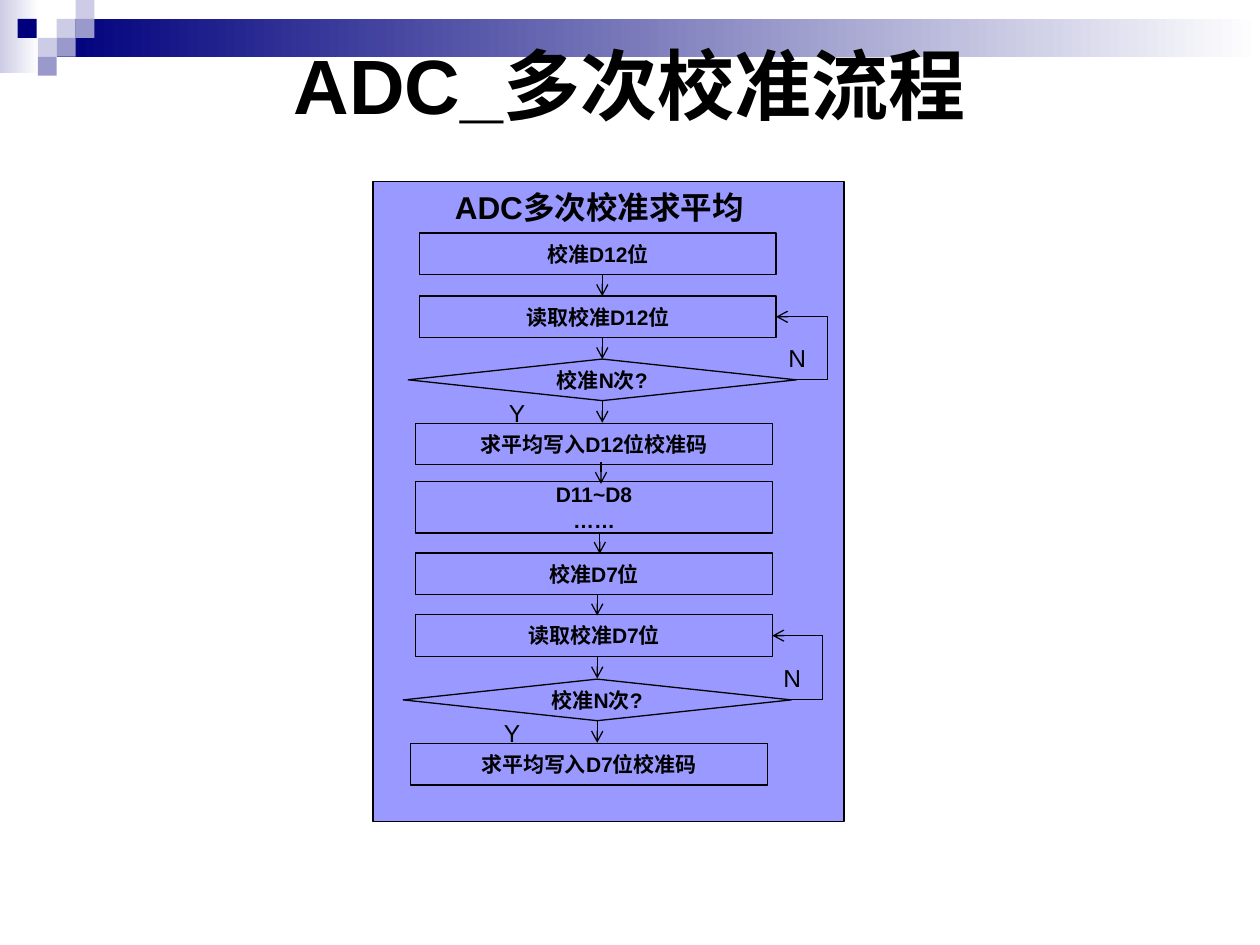
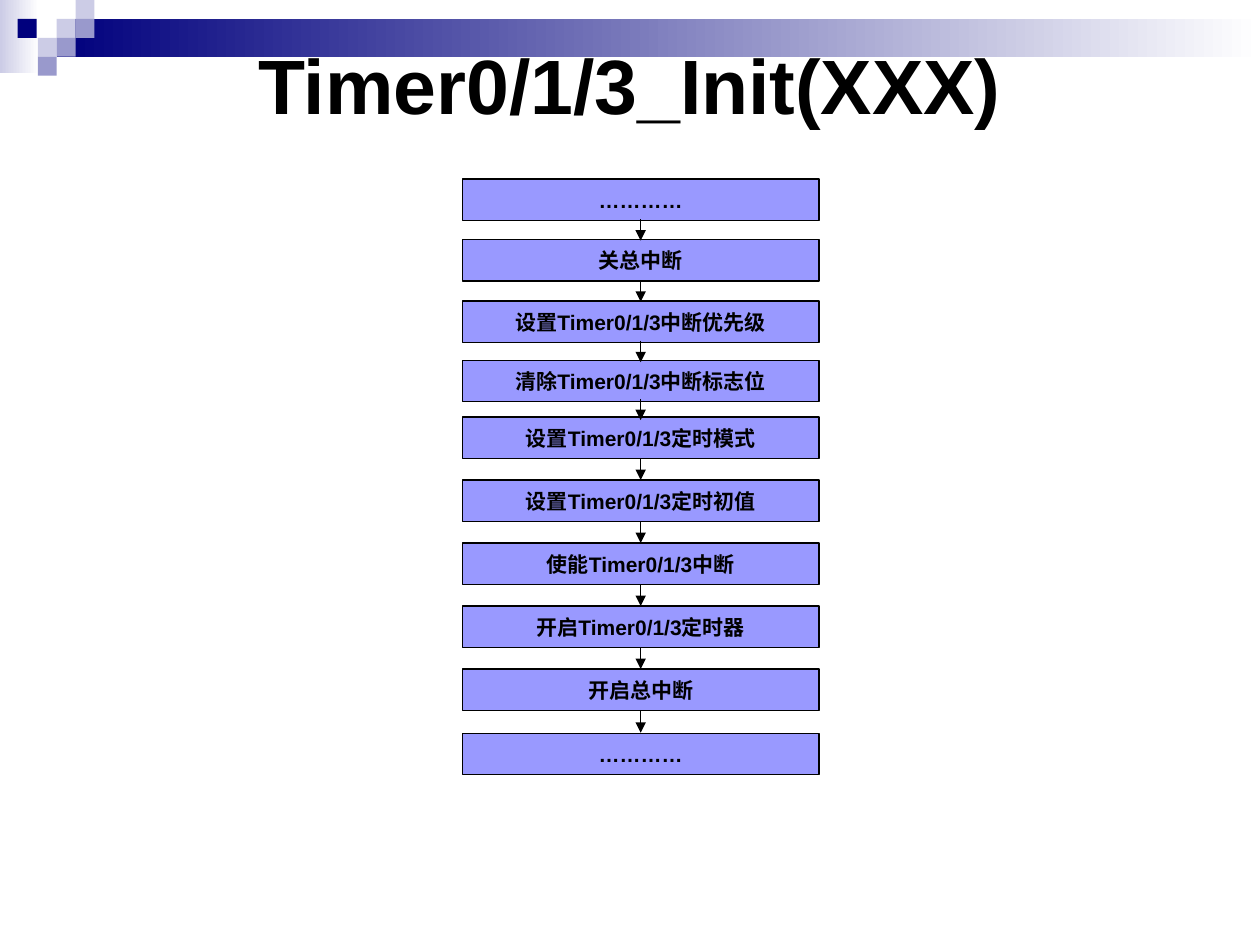
from lxml import etree
from pptx import Presentation
from pptx.dml.color import RGBColor
from pptx.enum.shapes import MSO_CONNECTOR, MSO_SHAPE
from pptx.enum.text import MSO_ANCHOR, PP_ALIGN
from pptx.oxml.ns import qn
from pptx.util import Inches, Pt

RECT, DIAMOND = MSO_SHAPE.RECTANGLE, MSO_SHAPE.DIAMOND
STRAIGHT, ELBOW = MSO_CONNECTOR.STRAIGHT, MSO_CONNECTOR.ELBOW
LEFT, CENTER = PP_ALIGN.LEFT, PP_ALIGN.CENTER
TOP, MIDDLE = MSO_ANCHOR.TOP, MSO_ANCHOR.MIDDLE

# Shared style
FONT = "Arial"
COLORS = {"ink": "000000", "box": "9999FF", "navy": "00007D",
          "pale": "CCCCE6", "mid": "9999CC", "white": "FFFFFF"}
BOX_W, BOX_H, DIAMOND_W = 2.83, 0.33, 3.08
ARROW_LEN = 0.17
LOOP_REACH = 0.25

# Header decoration: left, top, width, height, fill (two names make a gradient)
TILE = 0.15
BANDS = [(0, 0, 0.31, 0.58, ("pale", "white")),
         (0.45, 0.15, 9.55, 0.3, ("navy", "white"))]
TILES = [(0.45, 0.15, "pale"), (0.6, 0, "pale"), (0.6, 0.15, "mid"),
         (0.3, 0.3, "pale"), (0.14, 0.15, "navy"), (0.45, 0.3, "mid"),
         (0.3, 0.45, "mid")]

# Calibration flow: shape, left, top, height, text, x of the arrow below
ADC_TITLE = "ADC_多次校准流程"
ADC_PANEL = (2.96, 1.44, 3.74, 5.08)
ADC_PANEL_TITLE = "ADC多次校准求平均"
ADC_STEPS = [
    (RECT, 3.33, 1.85, BOX_H, "校准D12位", 4.78),
    (RECT, 3.33, 2.35, BOX_H, "读取校准D12位", 4.78),
    (DIAMOND, 3.24, 2.85, BOX_H, "校准N次?", 4.78),
    (RECT, 3.3, 3.36, BOX_H, "求平均写入D12位校准码", 4.77),
    (RECT, 3.3, 3.82, 0.41, "D11~D8\n……", 4.76),
    (RECT, 3.3, 4.39, BOX_H, "校准D7位", 4.74),
    (RECT, 3.3, 4.88, BOX_H, "读取校准D7位", 4.74),
    (DIAMOND, 3.2, 5.39, BOX_H, "校准N次?", 4.74),
    (RECT, 3.26, 5.9, BOX_H, "求平均写入D7位校准码", None),
]

# Timer flow: top, text
TIMER_TITLE = "Timer0/1/3_Init(XXX)"
TIMER_LEFT = 3.67
TIMER_STEPS = [
    (1.42, "…………"), (1.9, "关总中断"), (2.39, "设置Timer0/1/3中断优先级"),
    (2.86, "清除Timer0/1/3中断标志位"), (3.31, "设置Timer0/1/3定时模式"),
    (3.81, "设置Timer0/1/3定时初值"), (4.31, "使能Timer0/1/3中断"),
    (4.81, "开启Timer0/1/3定时器"), (5.31, "开启总中断"), (5.82, "…………"),
]


def rgb(name):
    return RGBColor.from_string(COLORS[name])


def write(sp, text, size=12, bold=True, align=CENTER, anchor=MIDDLE,
          wrap=False, indent=0.1):
    tf = sp.text_frame
    tf.word_wrap = wrap
    tf.vertical_anchor = anchor
    tf.margin_left = Inches(indent)
    for i, line in enumerate(text.split("\n")):
        p = tf.add_paragraph() if i else tf.paragraphs[0]
        p.alignment = align
        r = p.add_run()
        r.text = line
        r.font.name, r.font.size, r.font.bold = FONT, Pt(size), bold
        r.font.color.rgb = rgb("ink")


def add_box(s, kind, x, y, w, h, fill="box", outline=True):
    sp = s.shapes.add_shape(kind, *map(Inches, (x, y, w, h)))
    sp.shadow.inherit = False
    if isinstance(fill, tuple):
        sp.fill.gradient()
        sp.fill.gradient_angle = 0
        for stop, name in zip(sp.fill.gradient_stops, fill):
            stop.color.rgb = rgb(name)
    else:
        sp.fill.solid()
        sp.fill.fore_color.rgb = rgb(fill)
    if outline:
        sp.line.color.rgb = rgb("ink")
        sp.line.width = Pt(0.75)
    else:
        sp.line.fill.background()
    return sp


def add_text(s, x, y, w, h, text, **fmt):
    write(s.shapes.add_textbox(*map(Inches, (x, y, w, h))), text, **fmt)


def add_arrow(s, x1, y1, x2, y2, head, kind=STRAIGHT):
    cn = s.shapes.add_connector(kind, *map(Inches, (x1, y1, x2, y2)))
    cn.line.color.rgb = rgb("ink")
    cn.line.width = Pt(0.75)
    etree.SubElement(cn.line._get_or_add_ln(), qn("a:tailEnd"), type=head)
    pr = cn._element.spPr
    etree.SubElement(pr, qn("a:effectLst"))
    if kind == ELBOW:  # bend beyond the start point
        bend = round(LOOP_REACH / (x2 - x1) * 100000)
        etree.SubElement(pr.find(".//" + qn("a:avLst")), qn("a:gd"),
                         name="adj1", fmla=f"val {bend}")


def add_slide(prs, title):
    s = prs.slides.add_slide(prs.slide_layouts[6])
    for x, y, w, h, fill in BANDS:
        add_box(s, RECT, x, y, w, h, fill, outline=False)
    for x, y, fill in TILES:
        add_box(s, RECT, x, y, TILE, TILE, fill, outline=False)
    add_text(s, 0.5, 0.5, 9, 0.33, title, size=44, wrap=True)
    return s


def add_flow(s, steps, head):
    for kind, x, y, h, text, _ in steps:
        w = DIAMOND_W if kind == DIAMOND else BOX_W
        write(add_box(s, kind, x, y, w, h), text)
    # Arrows centred in the gap between neighbouring steps
    for (_, _, y, h, _, x), below in zip(steps, steps[1:]):
        start = (y + h + below[2] - ARROW_LEN) / 2
        add_arrow(s, x, start, x, start + ARROW_LEN, head)


def add_loops(s, steps):
    label = dict(size=14, bold=False, align=LEFT, anchor=TOP, wrap=True)
    for before, (kind, x, y, h, _, _) in zip(steps, steps[1:]):
        if kind == DIAMOND:
            add_arrow(s, x + DIAMOND_W, y + h / 2, before[1] + BOX_W,
                      before[2] + before[3] / 2, "arrow", ELBOW)
            add_text(s, x + 2.92, y - 0.18, 0.33, 0.34, "N", **label)
            add_text(s, x + 0.7, y + 0.26, 0.33, 0.34, "Y", **label)


def main():
    prs = Presentation()
    prs.slide_width, prs.slide_height = Inches(10), Inches(7.5)

    # Calibration slide
    s = add_slide(prs, ADC_TITLE)
    write(add_box(s, RECT, *ADC_PANEL), ADC_PANEL_TITLE, size=18, align=LEFT,
          anchor=TOP, wrap=True, indent=0.65)
    add_flow(s, ADC_STEPS, "arrow")
    add_loops(s, ADC_STEPS)

    # Timer slide
    s = add_slide(prs, TIMER_TITLE)
    add_flow(s, [(RECT, TIMER_LEFT, y, BOX_H, text, TIMER_LEFT + BOX_W / 2)
                 for y, text in TIMER_STEPS], "triangle")

    prs.save("out.pptx")


if __name__ == "__main__":
    main()
